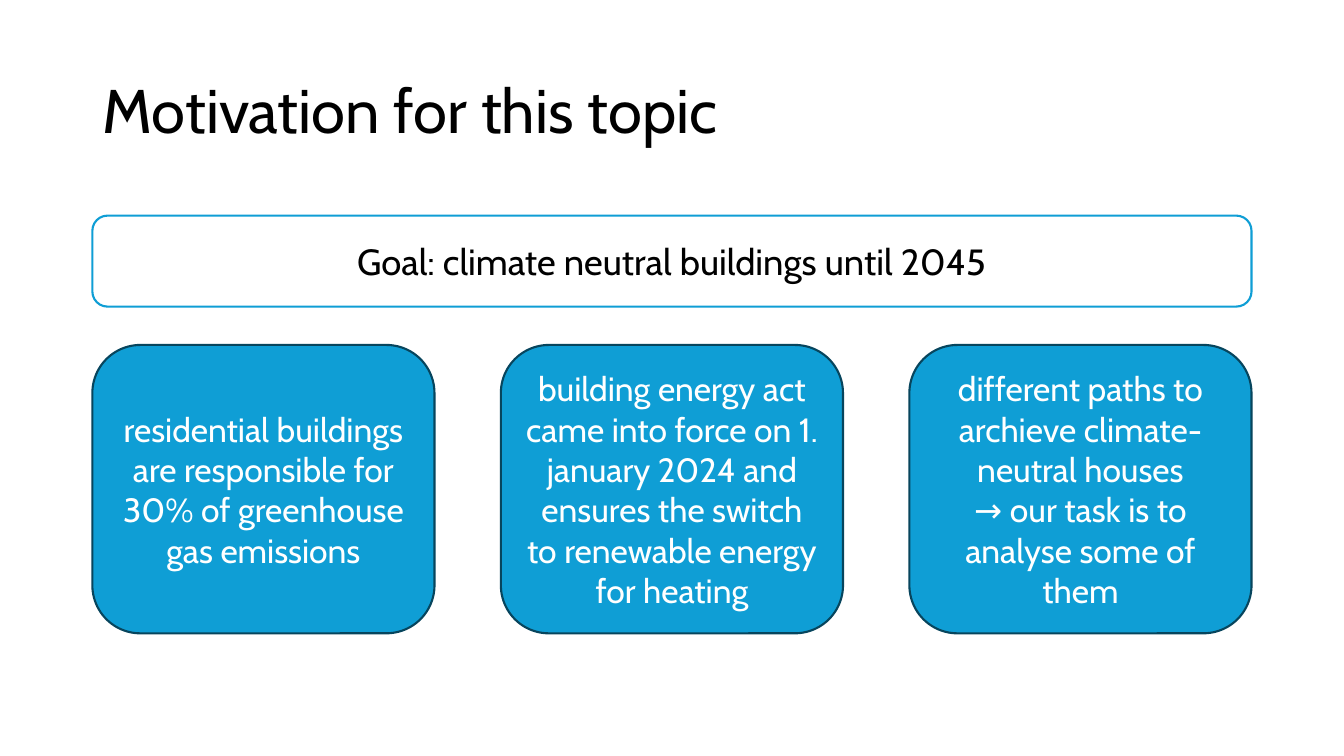
import pptx
import pptx.dml.color
import pptx.enum.shapes
import pptx.enum.text
import pptx.util

Pt = pptx.util.Pt
LEFT, WIDTH = 66, 828
CARD_TOP, CARD_WIDTH, CARD_HEIGHT = 246.4, 244.4, 206
BLUE, DARK_BLUE, WHITE, BLACK = "0F9ED5", "07455D", "FFFFFF", "000000"

CARDS = [
    ["residential buildings are responsible for 30% of greenhouse gas emissions"],
    ["building energy act came into force on 1. january 2024 and ensures the switch to renewable energy for heating"],
    ["different paths to archieve climate-neutral houses",
     "→ our task is to analyse some of them"],
]


def color(value):
    return pptx.dml.color.RGBColor.from_string(value)


def apply_format(target, values):
    for name, value in values.items():
        setattr(target, name, value)


def write_text(shape, lines, size, text_color, alignment, line_spacing=1.0):
    frame = shape.text_frame
    apply_format(frame, {
        "text": "\n".join(lines),
        "word_wrap": True,
        "auto_size": pptx.enum.text.MSO_AUTO_SIZE.NONE,
        "vertical_anchor": pptx.enum.text.MSO_ANCHOR.MIDDLE,
    })
    for paragraph in frame.paragraphs:
        apply_format(paragraph, {
            "alignment": alignment,
            "line_spacing": line_spacing,
            "space_before": Pt(0),
        })
        apply_format(paragraph.font, {"name": "Cabin", "size": Pt(size)})
        paragraph.font.color.rgb = color(text_color)


def add_title(slide, text):
    title = slide.shapes.title
    apply_format(title, {
        "left": Pt(LEFT), "top": Pt(28.8), "width": Pt(WIDTH), "height": Pt(104.4),
    })
    write_text(title, [text], 44, BLACK, pptx.enum.text.PP_ALIGN.LEFT, 0.9)


def add_box(slide, left, top, width, height, lines, fill, line, size, text_color):
    shape = slide.shapes.add_shape(
        pptx.enum.shapes.MSO_SHAPE.ROUNDED_RECTANGLE,
        Pt(left), Pt(top), Pt(width), Pt(height))
    shape.shadow.inherit = False
    shape.fill.solid()
    shape.fill.fore_color.rgb = color(fill)
    shape.line.color.rgb = color(line)
    shape.line.width = Pt(1.5)
    write_text(shape, lines, size, text_color, pptx.enum.text.PP_ALIGN.CENTER)


def main():
    presentation = pptx.Presentation()
    apply_format(presentation, {"slide_width": Pt(960), "slide_height": Pt(540)})
    slide = presentation.slides.add_slide(presentation.slide_layouts[5])
    add_title(slide, "Motivation for this topic")
    add_box(slide, LEFT, 154, WIDTH, 65, ["Goal: climate neutral buildings until 2045"],
            WHITE, BLUE, 26, BLACK)
    step = (WIDTH - CARD_WIDTH) / (len(CARDS) - 1)
    for index, lines in enumerate(CARDS):
        add_box(slide, LEFT + index * step, CARD_TOP, CARD_WIDTH, CARD_HEIGHT, lines,
                BLUE, DARK_BLUE, 24, WHITE)
    presentation.save("out.pptx")


if __name__ == "__main__":
    main()
